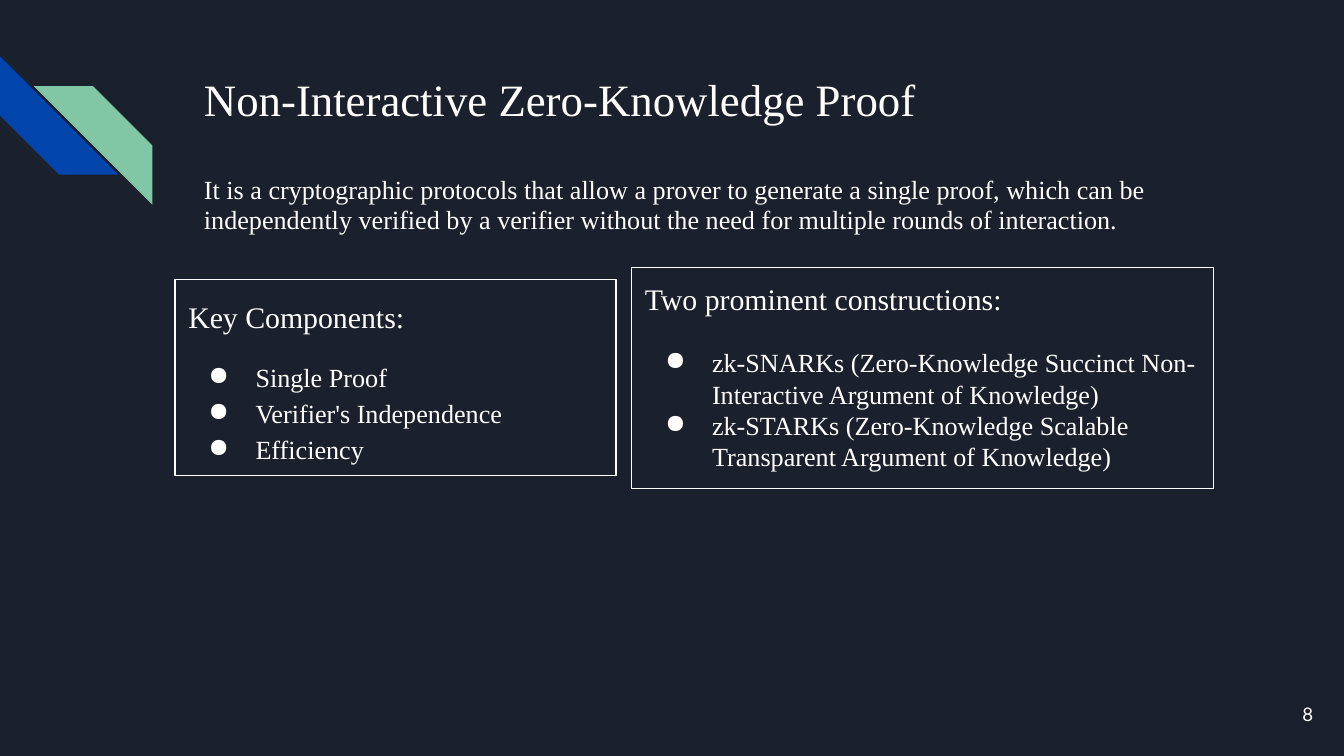
import pptx
import pptx.util
import pptx.dml.color
import pptx.enum.shapes
import pptx.enum.text
import lxml.etree

Pt = pptx.util.Pt
MSO_SHAPE = pptx.enum.shapes.MSO_SHAPE
ALIGN = pptx.enum.text.PP_ALIGN
ANCHOR = pptx.enum.text.MSO_ANCHOR
SERIF = "Times New Roman"
WHITE = "FFFFFF"


def rgb(value):
    return pptx.dml.color.RGBColor.from_string(value)


def add_text(sp, text, size=14, font=SERIF, align=ALIGN.LEFT, anchor=ANCHOR.TOP,
             spacing=1.0, before=0, bullet=False):
    """Append one paragraph to a shape, filling its empty first one if there is one."""
    tf = sp.text_frame
    tf.word_wrap = True
    tf.vertical_anchor = anchor
    tf.margin_left = tf.margin_top = tf.margin_right = tf.margin_bottom = Pt(7.2)
    p = tf.paragraphs[0] if not tf.text else tf.add_paragraph()
    p.alignment = align
    p.line_spacing = spacing
    p.space_before = Pt(before)
    if bullet:
        pPr = p._p.get_or_add_pPr()
        pPr.set("marL", str(Pt(36)))
        pPr.set("indent", str(-Pt(25.2)))
        ns = pptx.oxml.ns.qn("a:buClr")
        color = lxml.etree.SubElement(pPr, ns)
        lxml.etree.SubElement(color, pptx.oxml.ns.qn("a:srgbClr"), val=WHITE)
        lxml.etree.SubElement(pPr, pptx.oxml.ns.qn("a:buChar"), char="●")
    r = p.add_run()
    r.text = text
    r.font.size = Pt(size)
    r.font.name = font
    r.font.color.rgb = rgb(WHITE)


prs = pptx.Presentation()
prs.slide_width, prs.slide_height = Pt(720), Pt(405)
slide = prs.slides.add_slide(prs.slide_layouts[6])
slide.background.fill.solid()
slide.background.fill.fore_color.rgb = rgb("1B212C")

# Corner stripes: one turned, one mirrored
for left, top, color, rotation, flip in [
    (0, 30.2, "0145AC", 270, "0"),
    (18.2, 46.2, "82C7A5", 0, "1"),
]:
    sp = slide.shapes.add_shape(MSO_SHAPE.DIAGONAL_STRIPE, Pt(left), Pt(top), Pt(63.4), Pt(63.4))
    sp.shadow.inherit = False
    sp.fill.solid()
    sp.fill.fore_color.rgb = rgb(color)
    sp.line.fill.background()
    sp.rotation = rotation
    sp._element.spPr.xfrm.set("flipH", flip)

# Title, definition and slide number
for left, top, width, height, text, style in [
    (102.2, 31, 554.4, 46.8, "Non-Interactive Zero-Knowledge Proof", {"size": 24}),
    (102.2, 87.1, 554.4, 57.6,
     "It is a cryptographic protocols that allow a prover to generate a single proof, "
     "which can be independently verified by a verifier without the need for multiple "
     "rounds of interaction.", {"spacing": 0.95}),
    (667.4, 367.2, 43.2, 31, "8",
     {"size": 10, "font": "Lato", "align": ALIGN.RIGHT, "anchor": ANCHOR.MIDDLE}),
]:
    sp = slide.shapes.add_textbox(Pt(left), Pt(top), Pt(width), Pt(height))
    add_text(sp, text, **style)

# Outlined boxes: a heading over a bulleted list
for left, top, width, height, spacing, gap, heading, items in [
    (93.8, 149.8, 236.2, 105.1, 1.15, 12, "Key Components:",
     ["Single Proof", "Verifier's Independence", "Efficiency"]),
    (338.4, 143.3, 311.8, 118.5, 1.0, 16, "Two prominent constructions:",
     ["zk-SNARKs (Zero-Knowledge Succinct Non-Interactive Argument of Knowledge)",
      "zk-STARKs (Zero-Knowledge Scalable Transparent Argument of Knowledge)"]),
]:
    sp = slide.shapes.add_shape(MSO_SHAPE.RECTANGLE, Pt(left), Pt(top), Pt(width), Pt(height))
    sp.shadow.inherit = False
    sp.fill.background()
    sp.line.color.rgb = rgb(WHITE)
    sp.line.width = Pt(0.75)
    add_text(sp, heading, size=16, spacing=spacing)
    for i, item in enumerate(items):
        add_text(sp, item, spacing=spacing, before=0 if i else gap, bullet=True)

prs.save("out.pptx")
